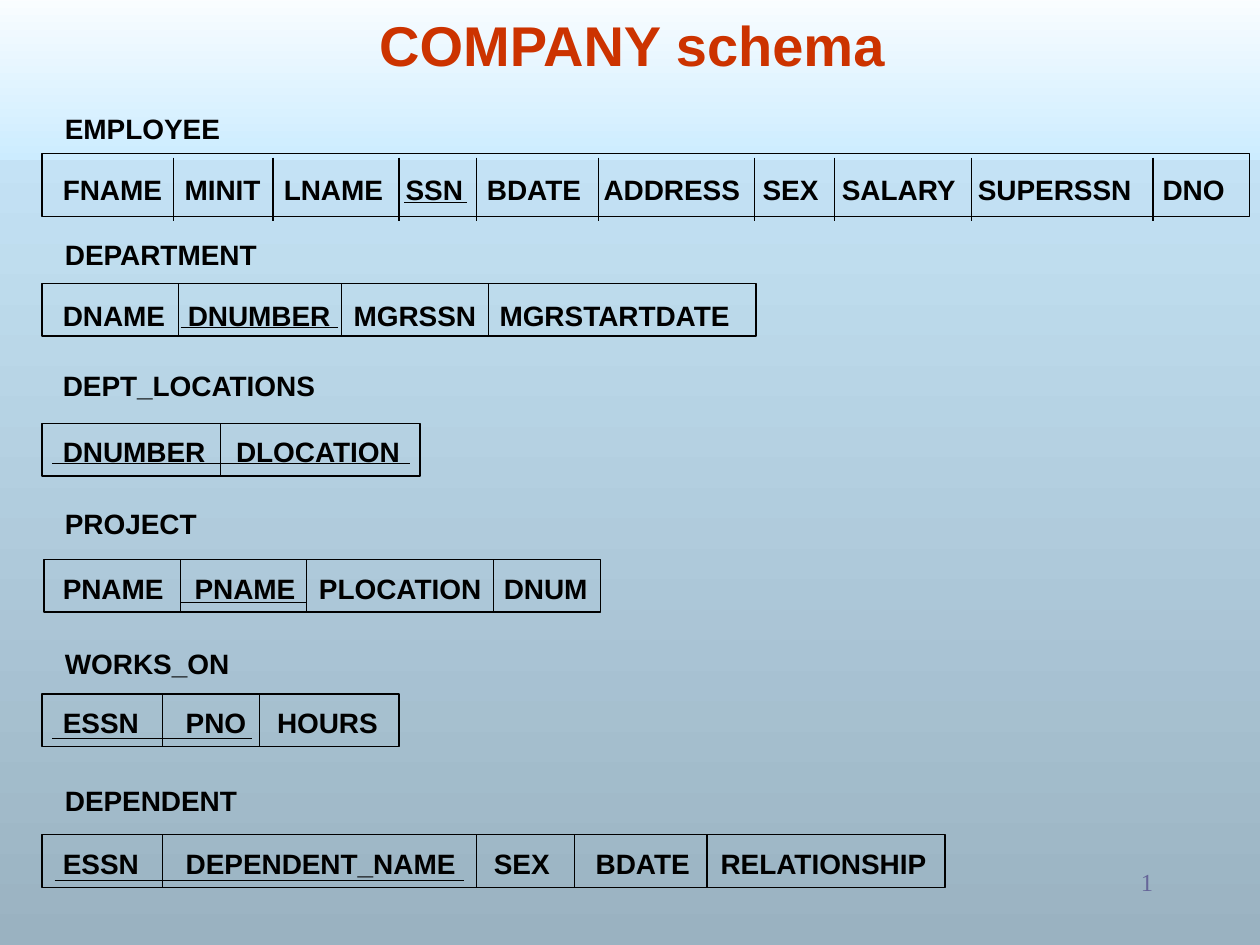
"""Builds the COMPANY schema slide: six relations with their fields and keys."""
from dataclasses import dataclass
from lxml.etree import SubElement
from pptx import Presentation
from pptx.dml.color import RGBColor
from pptx.enum.shapes import MSO_CONNECTOR, MSO_SHAPE
from pptx.enum.text import MSO_ANCHOR, PP_ALIGN
from pptx.oxml.ns import qn
from pptx.util import Inches, Pt


@dataclass(frozen=True)
class Theme:
    sans: str = "Arial"
    serif: str = "Times New Roman"
    title_size: int = 32
    text_size: int = 16
    number_size: int = 14
    title: str = "CC3300"
    ink: str = "000000"
    number: str = "666699"
    white: str = "FFFFFF"
    sky: str = "CCECFF"
    slate: str = "9AB2C1"
    line: float = 0.75


theme = Theme()
deck = Presentation()
deck.slide_width, deck.slide_height = Inches(10), Inches(7.5)
cell = deck.slide_width // 240
page = deck.slides.add_slide(deck.slide_layouts[5])


def write(text, box, area, size=theme.text_size, color=theme.ink, font=theme.sans,
          bold=True, align=PP_ALIGN.LEFT, anchor=MSO_ANCHOR.TOP, wrap=True, tabs=()):
    box.left, box.top, box.width, box.height = (round(share * cell) for share in area)
    frame = box.text_frame
    frame.word_wrap, frame.vertical_anchor = wrap, anchor
    para = frame.paragraphs[0]
    para.alignment = align
    if tabs:
        stops = SubElement(para._p.get_or_add_pPr(), qn("a:tabLst"))
        for stop in tabs:
            SubElement(stops, qn("a:tab"), pos=str(round(stop * cell)), algn="l")
    span = para.add_run()
    span.text = text
    span.font.size, span.font.name, span.font.bold = Pt(size), font, bold
    span.font.color.rgb = RGBColor.from_string(color)


def draw_line(left, top, right, bottom):
    ends = (round(share * cell) for share in (left, top, right, bottom))
    line = page.shapes.add_connector(MSO_CONNECTOR.STRAIGHT, *ends)
    line.line.width = Pt(theme.line)
    line.line.color.rgb = RGBColor.from_string(theme.ink)
    SubElement(line._element.spPr, qn("a:effectLst"))


header = page.shapes.add_shape(MSO_SHAPE.RECTANGLE, 0, -4 * cell, 240 * cell, round(34.5 * cell))
header.shadow.inherit = False
header.line.fill.background()
page.shapes.title.element.addprevious(header.element)

for fill, colors in ((page.background.fill, (theme.sky, theme.slate)),
                     (header.fill, (theme.white, theme.sky))):
    fill.gradient()
    fill.gradient_angle = 270
    for stop, color, position in zip(fill.gradient_stops, colors, (0, 1)):
        stop.color.rgb = RGBColor.from_string(color)
        stop.position = position

write("COMPANY schema", page.shapes.title, (14.4, 0, 212, 16), size=theme.title_size,
      color=theme.title, align=PP_ALIGN.CENTER, anchor=MSO_ANCHOR.BOTTOM)

relations = [
    dict(name="EMPLOYEE", name_at=(10, 20), band=(8, 29.3, 230, 12), text_top=31.7, divider_top=30,
         fields=["FNAME", "MINIT", "LNAME", "SSN", "BDATE", "ADDRESS", "SEX", "SALARY",
                 "SUPERSSN", "DNO"],
         starts=[35.2, 54.1, 77.3, 92.8, 115, 145.3, 160.4, 186.3, 221.5],
         dividers=[33, 52, 76, 90.7, 114, 143.7, 159, 185, 219.6], key=(77, 89, 38.6)),
    dict(name="DEPARTMENT", name_at=(10, 44), band=(8, 54, 136, 10), text_top=55.7, divider_top=54,
         fields=["DNAME", "DNUMBER", "MGRSSN", "MGRSTARTDATE"],
         starts=[35.8, 67.4, 95.2], dividers=[34, 65, 93], key=(34.4, 64.4, 62.4)),
    dict(name="DEPT_LOCATIONS", name_at=(9.6, 69), band=(8, 80.7, 72, 10), text_top=81.6,
         divider_top=80.7, fields=["DNUMBER", "DLOCATION"],
         starts=[45], dividers=[42], key=(10, 78, 88.3)),
    dict(name="PROJECT", name_at=(10, 95.3), band=(8.4, 106.6, 106, 10), text_top=107.6,
         divider_top=106.6, fields=["PNAME", "PNAME", "PLOCATION", "DNUM"],
         starts=[37.1, 60.8, 96], dividers=[34.4, 58.4, 94], key=(34.4, 58.4, 114.7)),
    dict(name="WORKS_ON", name_at=(10, 122), band=(8, 132.2, 68, 10), text_top=133.2,
         divider_top=132.2, fields=["ESSN", "PNO", "HOURS"],
         starts=[35.4, 52.8], dividers=[31, 49.4], key=(10, 48, 140.7)),
    dict(name="DEPENDENT", name_at=(10, 148), band=(8, 159, 172, 10), text_top=160,
         divider_top=159, fields=["ESSN", "DEPENDENT_NAME", "SEX", "BDATE", "RELATIONSHIP"],
         starts=[35.4, 94.1, 113.5, 137.3], dividers=[31, 90.7, 109.4, 134.7],
         key=(10.4, 88.4, 167.7)),
]
text_left, inset, text_height = 9.6, 2.4, 8.8

for relation in relations:
    left, top, width, height = relation["band"]
    write(relation["name"], page.shapes.add_textbox(0, 0, 0, 0),
          (*relation["name_at"], 54, text_height))
    write("\t".join(relation["fields"]), page.shapes.add_textbox(0, 0, 0, 0),
          (text_left, relation["text_top"], width, text_height),
          tabs=[start - text_left - inset for start in relation["starts"]])
    band = page.shapes.add_shape(MSO_SHAPE.RECTANGLE,
                                 *(round(share * cell) for share in relation["band"]))
    band.shadow.inherit = False
    band.fill.background()
    band.line.width = Pt(theme.line)
    band.line.color.rgb = RGBColor.from_string(theme.ink)
    for divider in relation["dividers"]:
        draw_line(divider, relation["divider_top"], divider, relation["divider_top"] + height)
    key_start, key_end, key_top = relation["key"]
    draw_line(key_start, key_top, key_end, key_top)

write("1", page.shapes.add_textbox(0, 0, 0, 0), (172, 164, 50, 12), size=theme.number_size,
      color=theme.number, font=theme.serif, bold=False, align=PP_ALIGN.RIGHT)

deck.save("out.pptx")
